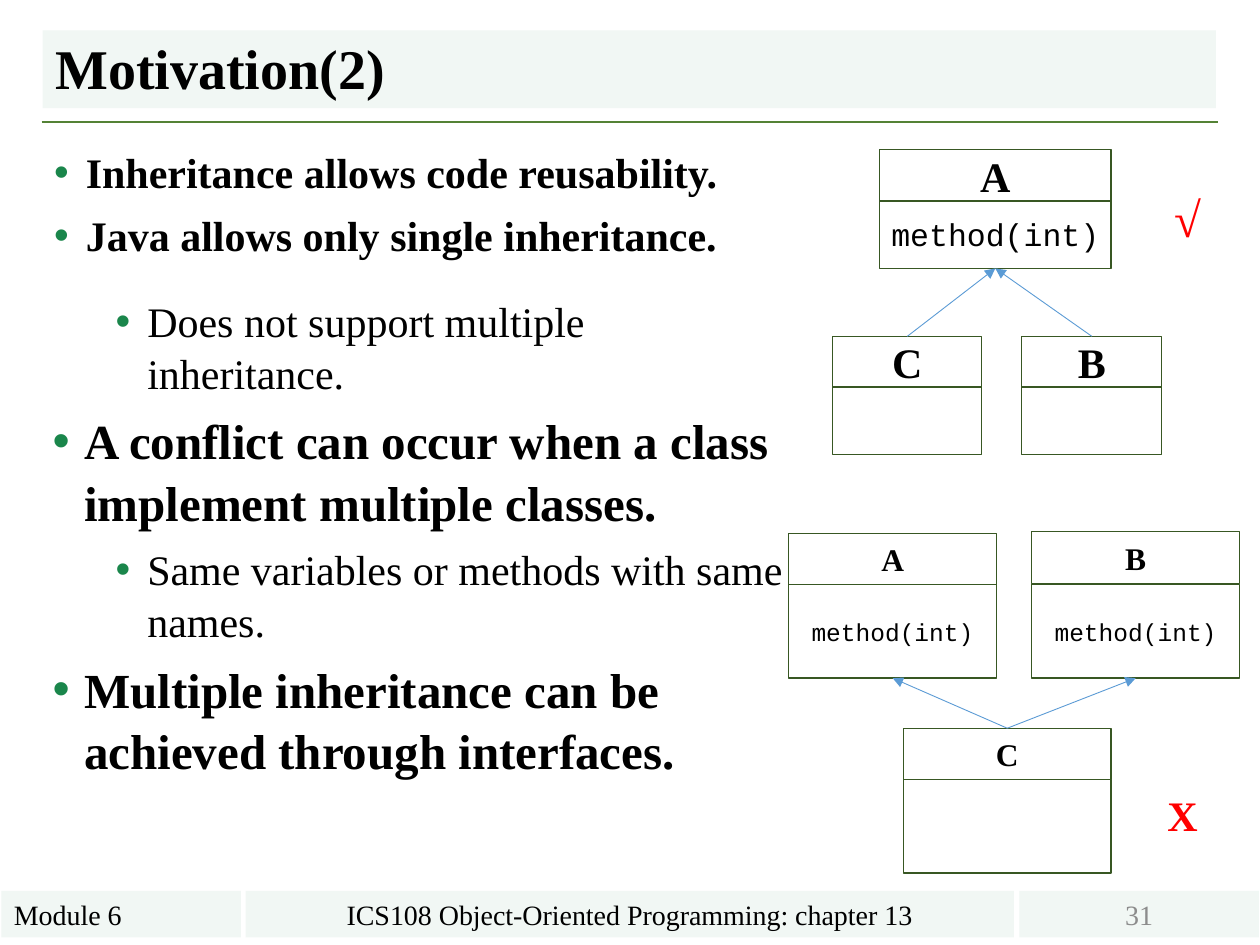
from lxml.etree import SubElement
from pptx import Presentation
from pptx.dml.color import RGBColor
from pptx.enum.shapes import MSO_CONNECTOR as Link, MSO_SHAPE as Shape
from pptx.enum.text import MSO_ANCHOR as Anchor, MSO_AUTO_SIZE as Fit, PP_ALIGN as Align
from pptx.oxml.ns import qn
from pptx.util import Cm, Pt

BLACK = RGBColor(0x00, 0x00, 0x00)
RED = RGBColor(0xFF, 0x00, 0x00)
GREY = RGBColor(0x8C, 0x8C, 0x8C)
PALE = RGBColor(0xF1, 0xF7, 0xF4)
RULE = RGBColor(0x54, 0x82, 0x35)
OUTLINE = RGBColor(0x38, 0x57, 0x23)
ARROW = RGBColor(0x5B, 0x9B, 0xD5)
BULLET = RGBColor(0x1A, 0x86, 0x4B)
SERIF, MONO = "Times New Roman", "Courier New"
HEADER_HEIGHT = 1.04


def add_run(para, text, size, color=BLACK, bold=False, font=SERIF):
    """Append one formatted run to a paragraph."""
    span = para.add_run()
    span.text = text
    span.font.name, span.font.size, span.font.bold = font, Pt(size), bold
    span.font.color.rgb = color


def add_title(page, text):
    """Place and format the title placeholder."""
    box = page.shapes.title
    box.left, box.top, box.width, box.height = Cm(0.86), Cm(0.61), Cm(23.65), Cm(1.57)
    box.fill.solid()
    box.fill.fore_color.rgb = PALE
    frame = box.text_frame
    frame.auto_size, frame.vertical_anchor = Fit.NONE, Anchor.BOTTOM
    para = frame.paragraphs[0]
    para.alignment, para.line_spacing = Align.LEFT, 0.9
    add_run(para, text, 32, bold=True)


def add_rect(page, left, top, width, height):
    """Add a plain rectangle without fill, line or shadow."""
    box = page.shapes.add_shape(Shape.RECTANGLE, Cm(left), Cm(top), Cm(width), Cm(height))
    box.shadow.inherit = False
    box.fill.background()
    box.line.fill.background()
    box.text_frame.vertical_anchor = Anchor.MIDDLE
    return box


def add_footer(page, left, width, text, align, color=BLACK):
    """Add one shaded cell of the footer band."""
    box = add_rect(page, left, 17.96, width, 0.94)
    box.fill.solid()
    box.fill.fore_color.rgb = PALE
    para = box.text_frame.paragraphs[0]
    para.alignment = align
    add_run(para, text, 16, color)


def add_bullets(page, left, top, width, height, items):
    """Add a bulleted text box from (level, size, text) items."""
    frame = page.shapes.add_textbox(Cm(left), Cm(top), Cm(width), Cm(height)).text_frame
    frame.word_wrap = True
    for index, (level, size, text) in enumerate(items):
        para = frame.add_paragraph() if index else frame.paragraphs[0]
        para.level, para.line_spacing = level, 1.04
        para.space_before = Pt(6 if index else 0)
        props = para._p.get_or_add_pPr()
        props.set("marL", str(Cm(0.64 + 1.27 * level)))
        props.set("indent", str(-Cm(0.64)))
        color = SubElement(props, qn("a:buClr"))
        SubElement(color, qn("a:srgbClr"), val=str(BULLET))
        SubElement(props, qn("a:buFont"), typeface="Arial")
        SubElement(props, qn("a:buChar"), char="•")
        add_run(para, text, size, bold=level == 0)


def add_mark(page, left, top, text, size, align):
    """Add a red verdict mark."""
    frame = page.shapes.add_textbox(Cm(left), Cm(top), Cm(1.7), Cm(1.12)).text_frame
    frame.word_wrap = True
    frame.paragraphs[0].alignment = align
    add_run(frame.paragraphs[0], text, size, RED, bold=True)


def add_class(page, left, top, width, split, body_height, name, name_size, method="", method_size=18):
    """Add a class diagram box and return its header and body."""
    body = add_rect(page, left, split, width, body_height)
    header = add_rect(page, left, top, width, HEADER_HEIGHT)
    labels = ((body, method, method_size, False, MONO), (header, name, name_size, True, SERIF))
    for box, text, size, bold, font in labels:
        box.line.color.rgb, box.line.width = OUTLINE, Pt(0.75)
        if text:
            box.text_frame.word_wrap = False
            para = box.text_frame.paragraphs[0]
            para.alignment = Align.CENTER
            add_run(para, text, size, bold=bold, font=font)
    return header, body


def add_line(page, start, end, color, width):
    """Add a straight connector without shadow."""
    line = page.shapes.add_connector(Link.STRAIGHT, *map(Cm, start + end))
    line.line.color.rgb, line.line.width = color, Pt(width)
    SubElement(line._element.spPr, qn("a:effectLst"))
    return line


def add_inheritance(page, child, parent):
    """Join the child's header to the parent's body with an arrow."""
    line = add_line(page, (0, 0), (0, 0), ARROW, 0.5)
    line.begin_connect(child[0], 0)
    line.end_connect(parent[1], 2)
    SubElement(line.line._get_or_add_ln(), qn("a:tailEnd"), type="triangle")


def main():
    """Build and save the slide."""
    deck = Presentation()
    deck.slide_width, deck.slide_height = Cm(25.4), Cm(19.05)
    page = deck.slides.add_slide(deck.slide_layouts[5])

    add_title(page, "Motivation(2)")
    add_line(page, (0.84, 2.46), (24.56, 2.46), RULE, 1.5)
    add_footer(page, 0.03, 4.83, "Module 6", Align.LEFT)
    add_footer(page, 4.95, 15.49, "ICS108 Object-Oriented Programming: chapter 13", Align.CENTER)
    add_footer(page, 20.55, 4.83, "31", Align.CENTER, GREY)

    add_bullets(page, 0.84, 2.79, 15.95, 3.35, [
        (0, 24, "Inheritance allows code reusability."),
        (0, 24, "Java allows only single inheritance."),
    ])
    add_bullets(page, 0.81, 5.79, 15.32, 11.81, [
        (1, 24, "Does not support multiple inheritance."),
        (0, 28, "A conflict can occur when a class implement multiple classes."),
        (1, 24, "Same variables or methods with same names."),
        (0, 28, "Multiple inheritance can be achieved through interfaces."),
    ])

    parent = add_class(page, 17.73, 3.02, 4.67, 4.04, 1.37, "A", 24, "method(int)")
    for left, width, name in ((20.6, 2.82, "B"), (16.79, 3, "C")):
        child = add_class(page, left, 6.78, width, 7.8, 1.37, name, 24)
        add_inheritance(page, child, parent)
    add_mark(page, 23.42, 3.68, "√", 28, Align.LEFT)

    child = add_class(page, 18.21, 14.68, 4.19, 15.72, 1.88, "C", 18)
    for left, top, name in ((15.9, 10.75, "A"), (20.8, 10.72, "B")):
        parent = add_class(page, left, top, 4.19, 11.79, 1.88, name, 18, "method(int)", 14)
        add_inheritance(page, child, parent)
    add_mark(page, 22.99, 15.8, "X", 24, Align.CENTER)

    deck.save("out.pptx")


if __name__ == "__main__":
    main()
